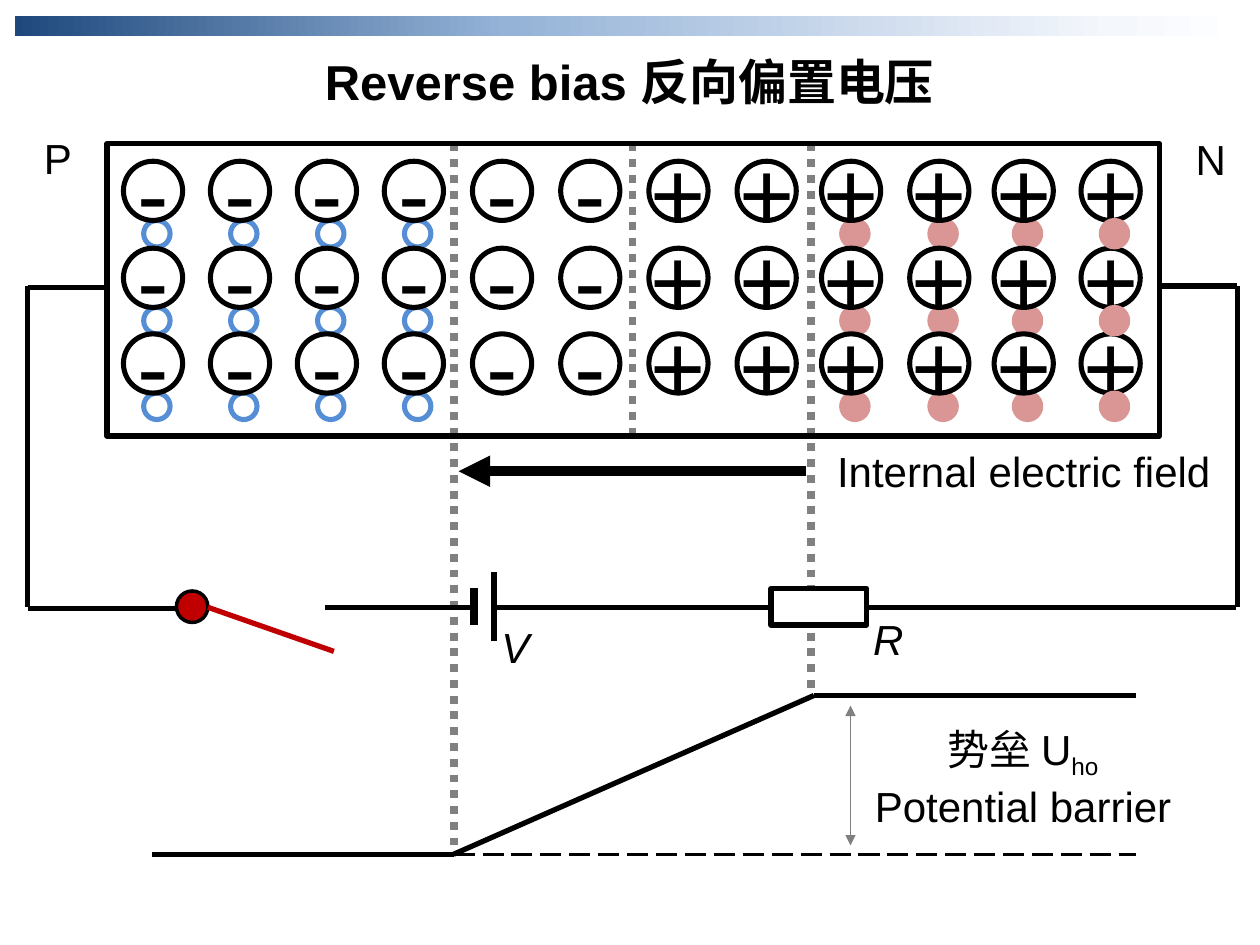
"""Build the reverse-bias PN junction slide."""
from dataclasses import dataclass
from itertools import product
from typing import Optional

from lxml.etree import SubElement
from pptx import Presentation
from pptx.dml.color import RGBColor
from pptx.enum.dml import MSO_LINE
from pptx.enum.shapes import MSO_CONNECTOR, MSO_SHAPE
from pptx.enum.text import MSO_ANCHOR, MSO_AUTO_SIZE, PP_ALIGN
from pptx.oxml.ns import qn
from pptx.util import Inches, Pt


@dataclass(frozen=True)
class Theme:
    font: str = "Arial"
    black: str = "000000"
    white: str = "FFFFFF"
    gray: str = "808080"
    red: str = "C00000"
    electron: str = "D99694"
    hole: str = "558ED5"
    banner: tuple = ((0, "1F497D"), (40, "95B3D7"), (89, "F4F7FC"), (100, "FFFFFF"))
    title_size: int = 28
    label_size: int = 24
    charge_size: int = 54
    circle_line: float = 2.88
    wire: float = 3
    guide: float = 4.5


THEME = Theme()


@dataclass(frozen=True)
class Box:
    left: float
    top: float
    width: float
    height: float

    def lengths(self) -> tuple:
        return tuple(Inches(v) for v in (self.left, self.top, self.width, self.height))


@dataclass(frozen=True)
class Line:
    start: tuple
    end: tuple
    color: str = THEME.black
    width: float = THEME.wire
    dash: Optional[MSO_LINE] = None
    arrows: tuple = ()


@dataclass(frozen=True)
class Label:
    box: Box
    text: str
    italic: bool = False


ROWS = (1.28, 1.97, 2.65)
NEGATIVE_COLUMNS = (0.98, 1.67, 2.36, 3.05, 3.75, 4.45)
POSITIVE_COLUMNS = (5.15, 5.85, 6.52, 7.22, 7.89, 8.58)
ION_SIZE = 0.47
CARRIER_SIZE = 0.21
CARRIER_SHIFT = 0.16
DOT = MSO_LINE.ROUND_DOT

DEPLETION_GUIDES = (
    Line((3.6, 1.14), (3.6, 6.71), THEME.gray, THEME.guide, DOT),
    Line((6.44, 1.14), (6.44, 5.52), THEME.gray, THEME.guide, DOT),
)
JUNCTION = Line((5.02, 1.14), (5.02, 3.46), THEME.gray, THEME.guide, DOT)
FIELD_AND_CIRCUIT = (
    Line((6.4, 3.74), (3.64, 3.74), width=6, arrows=("tailEnd",)),
    Line((0.22, 2.28), (0.85, 2.28)),
    Line((9.19, 2.27), (9.82, 2.27)),
    Line((0.22, 2.27), (0.22, 4.82)),
    Line((9.82, 2.27), (9.82, 4.82)),
    Line((0.22, 4.83), (1.39, 4.83)),
    Line((2.58, 4.82), (3.75, 4.82)),
    Line((3.92, 4.82), (9.81, 4.82)),
    Line((3.92, 4.54), (3.92, 5.09)),
    Line((3.76, 4.67), (3.76, 4.96), width=4.5),
)
POTENTIAL = (
    Line((1.21, 6.78), (3.6, 6.78)),
    Line((3.6, 6.78), (6.46, 5.52)),
    Line((6.46, 5.52), (9.02, 5.52)),
    Line((3.6, 6.78), (9.02, 6.78), width=1.5, dash=MSO_LINE.LONG_DASH),
    Line((6.75, 5.6), (6.75, 6.71), THEME.gray, 0.75, arrows=("headEnd", "tailEnd")),
)
SWITCH_ARM = Line((1.65, 4.82), (2.65, 5.17), THEME.red)
LABELS = (
    Label(Box(-0.01, 1, 0.94, 0.5), "P"),
    Label(Box(9.14, 1.01, 0.94, 0.5), "N"),
    Label(Box(6.33, 3.49, 3.59, 0.5), "Internal electric field"),
    Label(Box(3.62, 4.88, 0.94, 0.5), "V", True),
    Label(Box(6.58, 4.82, 0.94, 0.5), "R", True),
)
BARRIER = Label(Box(6.73, 5.69, 2.78, 0.91), "势垒 U\nPotential barrier")


def rgb(color: str) -> RGBColor:
    return RGBColor.from_string(color)


def style_text(text_frame, size: float, bold: bool = False, italic: bool = False) -> None:
    for paragraph in text_frame.paragraphs:
        paragraph.alignment = PP_ALIGN.CENTER
        for run in paragraph.runs:
            font = run.font
            font.name, font.size = THEME.font, Pt(size)
            font.bold, font.italic = bold, italic
            font.color.rgb = rgb(THEME.black)


def add_outline(slide, kind: MSO_SHAPE, box: Box, fill: Optional[str],
                line: Optional[str], width: float = THEME.wire):
    shape = slide.shapes.add_shape(kind, *box.lengths())
    shape.shadow.inherit = False
    if fill:
        shape.fill.solid()
        shape.fill.fore_color.rgb = rgb(fill)
    else:
        shape.fill.background()
    if line:
        shape.line.color.rgb = rgb(line)
        shape.line.width = Pt(width)
    else:
        shape.line.fill.background()
    return shape


def add_banner(slide) -> None:
    shape = add_outline(slide, MSO_SHAPE.RECTANGLE, Box(0.12, 0.13, 9.76, 0.16), None, None)
    shape.fill.gradient()
    shape.fill.gradient_angle = 0
    stops = shape._element.spPr.find(qn("a:gradFill")).find(qn("a:gsLst"))
    for stop in list(stops):
        stops.remove(stop)
    for position, color in THEME.banner:
        stop = SubElement(stops, qn("a:gs"), pos=str(position * 1000))
        SubElement(stop, qn("a:srgbClr"), val=color)


def add_line(slide, line: Line) -> None:
    ends = [Inches(v) for v in (*line.start, *line.end)]
    connector = slide.shapes.add_connector(MSO_CONNECTOR.STRAIGHT, *ends)
    connector.line.color.rgb = rgb(line.color)
    connector.line.width = Pt(line.width)
    if line.dash is not None:
        connector.line.dash_style = line.dash
    properties = connector._element.spPr
    for end in line.arrows:
        SubElement(properties.find(qn("a:ln")), qn(f"a:{end}"), type="triangle")
    SubElement(properties, qn("a:effectLst"))


def add_lines(slide, lines: tuple) -> None:
    for line in lines:
        add_line(slide, line)


def add_label(slide, label: Label):
    text_frame = slide.shapes.add_textbox(*label.box.lengths()).text_frame
    text_frame.word_wrap = True
    text_frame.auto_size = MSO_AUTO_SIZE.SHAPE_TO_FIT_TEXT
    text_frame.text = label.text
    style_text(text_frame, THEME.label_size, italic=label.italic)
    return text_frame


def add_ions(slide, columns: tuple, sign: str) -> None:
    for left, top in product(columns, ROWS):
        ion = add_outline(slide, MSO_SHAPE.OVAL, Box(left, top, ION_SIZE, ION_SIZE),
                          None, THEME.black, THEME.circle_line)
        text_frame = ion.text_frame
        text_frame.word_wrap = False
        text_frame.vertical_anchor = MSO_ANCHOR.MIDDLE
        text_frame.text = sign
        style_text(text_frame, THEME.charge_size)


def add_carriers(slide, columns: tuple, fill: str, line: str) -> None:
    for left, top in product(columns, ROWS):
        box = Box(left + CARRIER_SHIFT, top + ION_SIZE, CARRIER_SIZE, CARRIER_SIZE)
        add_outline(slide, MSO_SHAPE.OVAL, box, fill, line, THEME.circle_line)


def add_title(slide) -> None:
    title = slide.shapes.title
    title.left, title.top, title.width, title.height = Box(0.35, 0.36, 9.29, 0.57).lengths()
    title.text_frame.text = "Reverse bias 反向偏置电压"
    title.text_frame.auto_size = MSO_AUTO_SIZE.SHAPE_TO_FIT_TEXT
    style_text(title.text_frame, THEME.title_size, bold=True)


def main() -> None:
    presentation = Presentation()
    presentation.slide_width, presentation.slide_height = Inches(10), Inches(7.5)
    slide = presentation.slides.add_slide(presentation.slide_layouts[5])
    add_title(slide)
    add_lines(slide, DEPLETION_GUIDES)
    add_banner(slide)
    add_carriers(slide, POSITIVE_COLUMNS[2:5], THEME.electron, THEME.electron)
    add_ions(slide, POSITIVE_COLUMNS, "+")
    add_carriers(slide, POSITIVE_COLUMNS[5:], THEME.electron, THEME.electron)
    add_carriers(slide, NEGATIVE_COLUMNS[:4], THEME.white, THEME.hole)
    add_ions(slide, NEGATIVE_COLUMNS, "-")
    add_line(slide, JUNCTION)
    add_outline(slide, MSO_SHAPE.RECTANGLE, Box(0.85, 1.14, 8.35, 2.32), None, THEME.black)
    add_lines(slide, FIELD_AND_CIRCUIT)
    add_outline(slide, MSO_SHAPE.RECTANGLE, Box(6.12, 4.67, 0.76, 0.29), THEME.white, THEME.black)
    for label in LABELS:
        add_label(slide, label)
    add_lines(slide, POTENTIAL)
    barrier = add_label(slide, BARRIER)
    subscript = barrier.paragraphs[0].add_run()
    subscript.text = "ho"
    style_text(barrier, THEME.label_size)
    subscript.font._element.set("baseline", "-25000")
    add_outline(slide, MSO_SHAPE.OVAL, Box(1.4, 4.69, 0.25, 0.25), THEME.red, THEME.black, 2)
    add_line(slide, SWITCH_ARM)
    presentation.save("out.pptx")


if __name__ == "__main__":
    main()
